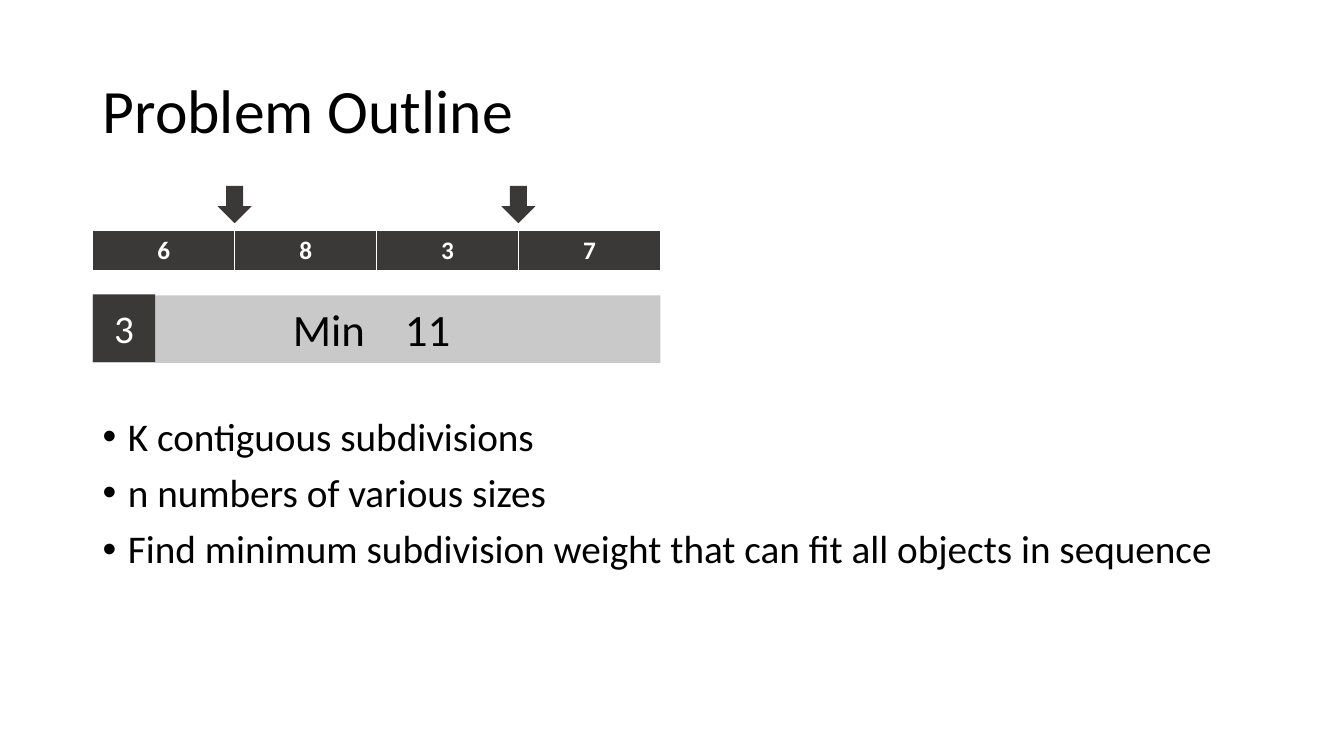
from dataclasses import dataclass

from lxml.etree import SubElement
from pptx import Presentation
from pptx.dml.color import RGBColor as Rgb
from pptx.enum.shapes import MSO_SHAPE as Shape
from pptx.enum.text import MSO_ANCHOR as Anchor, PP_ALIGN as Align
from pptx.oxml.ns import qn
from pptx.util import Inches, Pt


@dataclass(frozen=True)
class Theme:
    """Colours, type sizes and font of the slide."""
    ink: str = "000000"
    paper: str = "FFFFFF"
    dark: str = "3B3838"
    pale: str = "C9C9C9"
    font: str = "Calibri"
    title: int = 44
    result: int = 32
    body: int = 28
    cell: int = 18


THEME = Theme()
NUMBERS = ["6", "8", "3", "7"]
DIVIDERS = [1, 3]
POINTS = [
    "K contiguous subdivisions",
    "n numbers of various sizes",
    "Find minimum subdivision weight that can fit all objects in sequence",
]
MARGIN = 0.92
COLUMN = 5.63 / len(NUMBERS)
ROW = 0.5
FULL = 11.5 / COLUMN


def write(frame, lines, size, color=THEME.ink, bold=False, align=Align.LEFT,
          anchor=Anchor.TOP, spacing=None, before=None, bullet=None):
    """Fill a text frame with one formatted paragraph per line."""
    frame.word_wrap = True
    frame.vertical_anchor = anchor
    for index, line in enumerate(lines):
        para = frame.add_paragraph() if index else frame.paragraphs[0]
        para.alignment = align
        para.line_spacing = spacing
        if before is not None:
            para.space_before = Pt(before)
        if bullet:
            props = para._p.get_or_add_pPr()
            props.set("marL", str(Inches(0.25)))
            props.set("indent", str(-Inches(0.25)))
            SubElement(props, qn("a:buFont"), typeface="Arial")
            SubElement(props, qn("a:buChar"), char=bullet)
        run = para.add_run()
        run.text = line
        run.font.name = THEME.font
        run.font.size = Pt(size)
        run.font.bold = bold
        run.font.color.rgb = Rgb.from_string(color)


def paint(target, color):
    """Give a shape or table cell a solid fill."""
    target.fill.solid()
    target.fill.fore_color.rgb = Rgb.from_string(color)


def edge(cell, color, **widths):
    """Draw cell borders; sides L, R, T, B take widths in points."""
    props = cell._tc.get_or_add_tcPr()
    for index, (side, width) in enumerate(widths.items()):
        line = SubElement(props, qn(f"a:ln{side}"), w=str(Pt(width)))
        fill = SubElement(line, qn("a:solidFill"))
        SubElement(fill, qn("a:srgbClr"), val=color)
        props.insert(index, line)


class Deck:
    """Holds the theme and the current slide, and places elements by grid."""

    def __init__(self, theme):
        """Open a widescreen deck with one title-only slide."""
        self.theme = theme
        self.show = Presentation()
        self.show.slide_width, self.show.slide_height = Inches(13.33), Inches(7.5)
        self.slide = self.show.slides.add_slide(self.show.slide_layouts[5])

    def box(self, column, row, columns, rows):
        """Turn grid units into left, top, width and height."""
        return [Inches(n) for n in (MARGIN + column * COLUMN, row * ROW,
                                    columns * COLUMN, rows * ROW)]

    def title(self, text, *place):
        """Place and format the title."""
        heading = self.slide.shapes.title
        heading.left, heading.top, heading.width, heading.height = self.box(*place)
        write(heading.text_frame, [text], self.theme.title,
              anchor=Anchor.MIDDLE, spacing=0.9)

    def text(self, lines, *place, **style):
        """Add a text box."""
        label = self.slide.shapes.add_textbox(*self.box(*place))
        write(label.text_frame, lines, **style)

    def shape(self, kind, color, *place):
        """Add a flat shape without outline."""
        figure = self.slide.shapes.add_shape(kind, *self.box(*place))
        figure.shadow.inherit = False
        figure.line.fill.background()
        paint(figure, color)
        return figure

    def number_row(self, values, *place):
        """Add a one-row table of numbers."""
        grid = self.slide.shapes.add_table(1, len(values), *self.box(*place)).table
        for cell, value in zip(grid.rows[0].cells, values):
            paint(cell, self.theme.dark)
            edge(cell, self.theme.paper, L=1, R=1, T=1, B=3)
            write(cell.text_frame, [value], self.theme.cell, self.theme.paper,
                  bold=True, align=Align.CENTER)


deck = Deck(THEME)
deck.title("Problem Outline", 0, 0.8, FULL, 2.9)
deck.text(POINTS, 0, 8.18, FULL, 5.32, size=THEME.body,
          spacing=0.9, before=10, bullet="•")
deck.number_row(NUMBERS, 0, 4.58, len(NUMBERS), 0.82)

deck.shape(Shape.RECTANGLE, THEME.pale, 0, 5.86, len(NUMBERS), 1.34)
subdivisions = deck.shape(Shape.RECTANGLE, THEME.dark, 0, 5.84, 0.44, 1.34)
write(subdivisions.text_frame, ["3"], THEME.body, THEME.paper,
      align=Align.CENTER, anchor=Anchor.MIDDLE)
for word, column in (("Min", 1.34), ("11", 2.13)):
    deck.text([word], column, 5.89, 0.87, 1.28, size=THEME.result)

ARROW = 0.24
for divider in DIVIDERS:
    deck.shape(Shape.DOWN_ARROW, THEME.dark,
               divider - ARROW / 2, 3.69, ARROW, 0.74)

deck.show.save("out.pptx")
